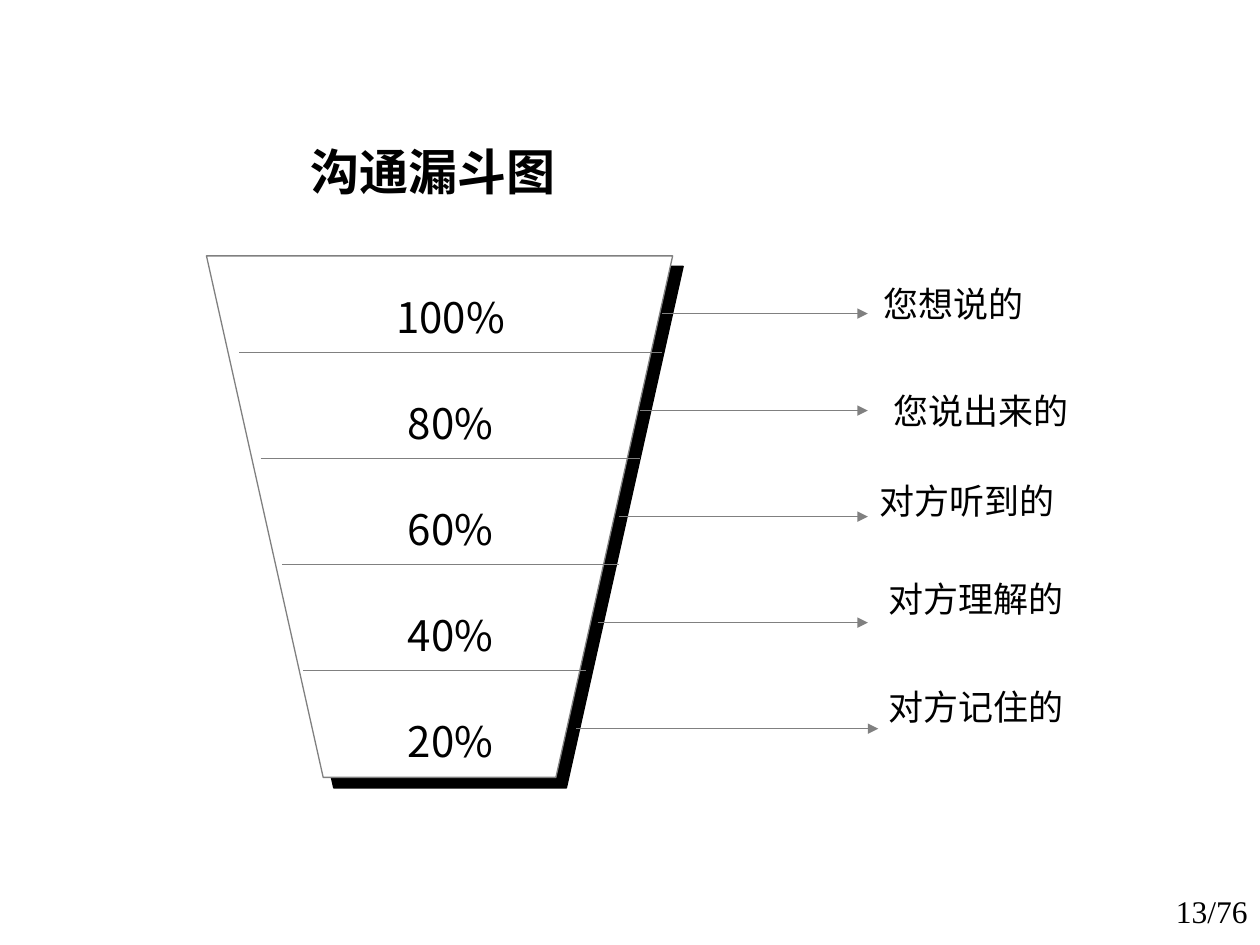
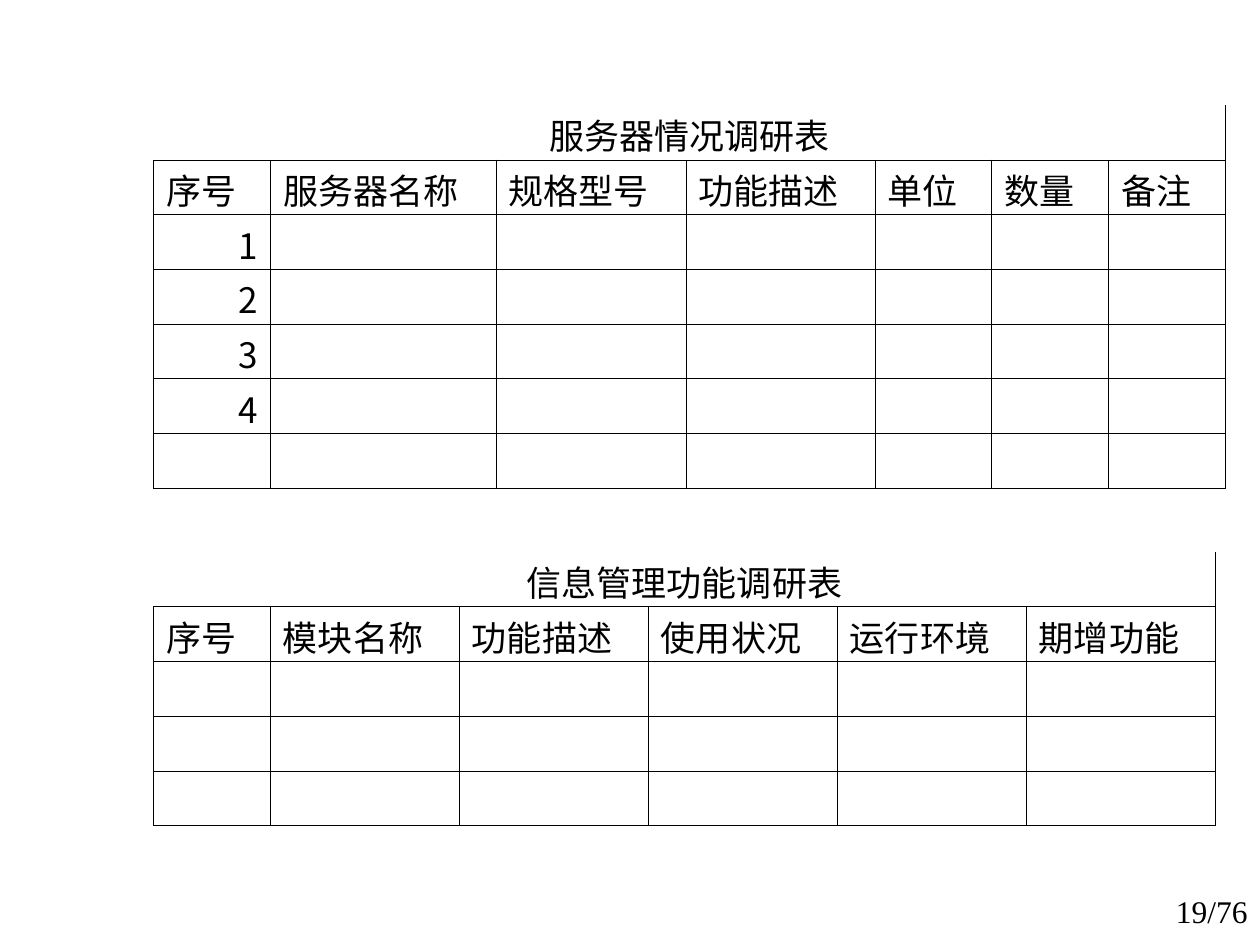
import pptx
import pptx.dml.color
import pptx.enum.shapes
import pptx.enum.text
import pptx.oxml.ns
import pptx.util
from lxml import etree

Pt = pptx.util.Pt
qn = pptx.oxml.ns.qn
ALIGN = pptx.enum.text.PP_ALIGN
ANCHOR = pptx.enum.text.MSO_ANCHOR
BLACK = pptx.dml.color.RGBColor(0x00, 0x00, 0x00)
WHITE = pptx.dml.color.RGBColor(0xFF, 0xFF, 0xFF)
GRAY = pptx.dml.color.RGBColor(0x80, 0x80, 0x80)
SERIF = "Times New Roman"
SANS = "Noto Sans CJK SC"
TITLE_ONLY, BLANK = 5, 6


def write(tf, text, size, name=SERIF, align=ALIGN.LEFT, bold=False):
    """Put one formatted paragraph into a text frame."""
    p = tf.paragraphs[0]
    p.text = text
    p.alignment = align
    p.font.size = Pt(size)
    p.font.bold = bold
    p.font.color.rgb = BLACK
    p.font.name = name
    etree.SubElement(p.font._element, qn("a:ea"), typeface=SANS)


def add_text(slide, box, text, size, **style):
    """Add a text box at (left, top, width, height)."""
    tf = slide.shapes.add_textbox(*map(Pt, box)).text_frame
    tf.word_wrap = True
    write(tf, text, size, **style)


def add_page_number(slide, number):
    """Add the page number at the lower right corner."""
    add_text(slide, (646.5, 506, 73.5, 34), f"{number}/76", 18, align=ALIGN.RIGHT)


def add_line(slide, x1, x2, y, arrow=False):
    """Add a thin horizontal line, optionally ending in an arrowhead."""
    cxn = slide.shapes.add_connector(
        pptx.enum.shapes.MSO_CONNECTOR.STRAIGHT, Pt(x1), Pt(y), Pt(x2), Pt(y))
    cxn.line.color.rgb = GRAY
    cxn.line.width = Pt(0.75)
    if arrow:
        etree.SubElement(cxn.line._get_or_add_ln(), qn("a:tailEnd"), type="triangle")
    etree.SubElement(cxn._element.spPr, qn("a:effectLst"))


def add_funnel_outline(slide, left, top, width, height, inset):
    """Draw the funnel body with its hard black shadow."""
    right, bottom = left + width, top + height
    builder = slide.shapes.build_freeform(Pt(left), Pt(top))
    corners = [(left + inset, bottom), (right - inset, bottom), (right, top)]
    builder.add_line_segments([(Pt(x), Pt(y)) for x, y in corners], close=True)
    sp = builder.convert_to_shape()
    sp.fill.solid()
    sp.fill.fore_color.rgb = WHITE
    sp.line.color.rgb = GRAY
    sp.line.width = Pt(0.75)
    sp.shadow.inherit = False
    effects = sp._element.spPr.find(qn("a:effectLst"))
    shadow = etree.SubElement(effects, qn("a:outerShdw"), blurRad="0",
                              dist=str(Pt(8.5)), dir="2700000", algn="ctr", rotWithShape="0")
    etree.SubElement(shadow, qn("a:srgbClr"), val=str(BLACK))


def add_funnel(slide, left, top, width, height):
    """Draw the funnel with its dividers, percentages and arrows."""
    levels = ["100%", "80%", "60%", "40%", "20%"]
    pitch, taper = 60.6, 12.24
    add_funnel_outline(slide, left, top, width, height, inset=66.7)
    for i, level in enumerate(levels):
        step, shift = i * pitch, i * taper
        edge = left + width - 6.2 - shift
        last = i == len(levels) - 1
        if not last:
            divider_end = edge - (6.5 if i == len(levels) - 2 else 0)
            add_line(slide, left + 18.7 + shift, divider_end, top + 55.2 + step)
        arrow_y = top + (33 if i == 0 else 27.8 + step)
        add_line(slide, edge, left + width + (117.5 if last else 111.5), arrow_y, arrow=True)
        add_text(slide, (left + 98.9, top + 16.6 + step, 81, 22.3), level, 24,
                 name=SANS, align=ALIGN.CENTER)


def add_labels(slide, left, top):
    """Write what each funnel level stands for beside its arrow."""
    labels = [("您想说的", 3, 0), ("您说出来的", 8.8, 61.2), ("对方听到的", 0.4, 112.7),
              ("对方理解的", 6, 168.5), ("对方记住的", 6, 230.4)]
    for text, dx, dy in labels:
        add_text(slide, (left + dx, top + dy, 143, 31.7), text, 20)


def funnel_slide(prs):
    """Build the communication funnel slide."""
    slide = prs.slides.add_slide(prs.slide_layouts[TITLE_ONLY])
    title = slide.shapes.title
    title.left, title.top, title.width, title.height = map(Pt, (84.2, 56.2, 326.2, 82.8))
    title.text_frame.vertical_anchor = ANCHOR.MIDDLE
    write(title.text_frame, "沟通漏斗图", 28, align=ALIGN.CENTER, bold=True)
    add_funnel(slide, 118, 146.2, 266.4, 298)
    add_labels(slide, 494.8, 157.7)
    add_page_number(slide, 13)


def set_borders(cell, sides):
    """Draw thin black borders on the named sides and none on the others."""
    tcPr = cell._tc.get_or_add_tcPr()
    for i, side in enumerate("LRTB"):
        ln = etree.Element(qn(f"a:ln{side}"), w=str(Pt(0.45)))
        tcPr.insert(i, ln)
        if side in sides:
            fill = etree.SubElement(ln, qn("a:solidFill"))
            etree.SubElement(fill, qn("a:srgbClr"), val=str(BLACK))
        else:
            etree.SubElement(ln, qn("a:noFill"))


def add_survey(slide, left, top, widths, row_height, caption, headers, numbers, blanks):
    """Add a survey form: caption row, header row, numbered rows, blank rows."""
    rows = [[caption], headers] + [[n] for n in numbers] + [[]] * blanks
    frame = slide.shapes.add_table(len(rows), len(widths), Pt(left), Pt(top),
                                   Pt(sum(widths)), Pt(row_height * len(rows)))
    table = frame.table
    table.first_row = table.horz_banding = False
    for column, width in zip(table.columns, widths):
        column.width = Pt(width)
    for r, texts in enumerate(rows):
        table.rows[r].height = Pt(row_height)
        align = {0: ALIGN.CENTER, 1: ALIGN.LEFT}.get(r, ALIGN.RIGHT)
        for c in range(len(widths)):
            cell = table.cell(r, c)
            cell.fill.background()
            cell.vertical_anchor = ANCHOR.BOTTOM
            cell.margin_top, cell.margin_bottom = Pt(2), Pt(0)
            set_borders(cell, "LRTB" if r else "RB")
            if c < len(texts):
                write(cell.text_frame, texts[c], 20, name=SANS, align=align)
    table.cell(0, 0).merge(table.cell(0, len(widths) - 1))


def survey_slide(prs):
    """Build the slide with the two survey forms."""
    slide = prs.slides.add_slide(prs.slide_layouts[BLANK])
    add_survey(slide, 87.8, 60.2, [66.8, 129, 108.5, 108, 66.7, 66.7, 66.7], 31.25,
               "服务器情况调研表",
               ["序号", "服务器名称", "规格型号", "功能描述", "单位", "数量", "备注"],
               ["1", "2", "3", "4"], blanks=1)
    add_survey(slide, 87.8, 315.4, [66.7] + [108] * 5, 31.3,
               "信息管理功能调研表",
               ["序号", "模块名称", "功能描述", "使用状况", "运行环境", "期增功能"],
               [], blanks=3)
    add_page_number(slide, 19)


def main():
    """Build and save the presentation."""
    prs = pptx.Presentation()
    prs.slide_width, prs.slide_height = Pt(720), Pt(540)
    funnel_slide(prs)
    survey_slide(prs)
    prs.save("out.pptx")


if __name__ == "__main__":
    main()
